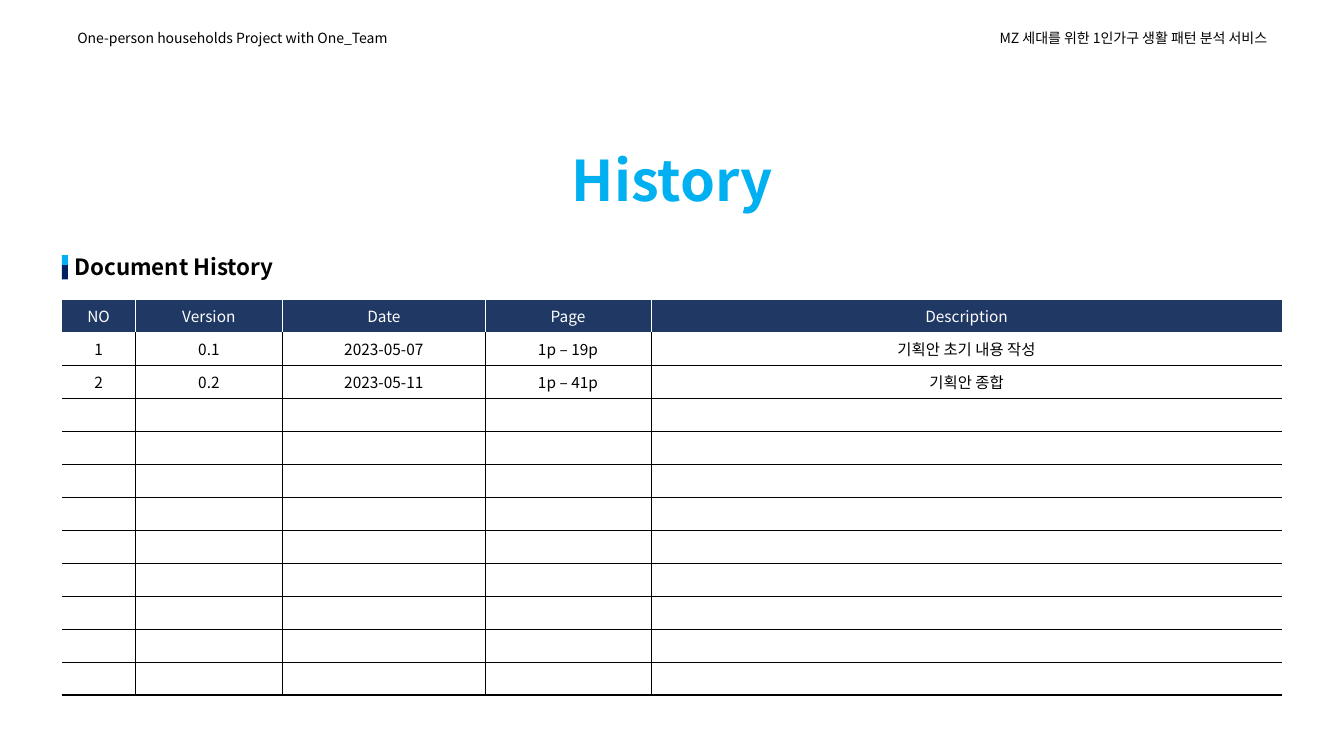
from lxml.etree import SubElement
from pptx import Presentation
from pptx.dml.color import RGBColor
from pptx.enum.shapes import MSO_SHAPE
from pptx.enum.text import MSO_ANCHOR, PP_ALIGN
from pptx.oxml.ns import qn
from pptx.util import Cm, Pt

HUES = {
    "black": "000000",
    "white": "FFFFFF",
    "sky": "00B0F0",
    "navy": "002060",
    "head": "203864",
}
FONT = "Noto Sans CJK KR"
COLS = [1.85, 3.71, 5.11, 4.17, 15.92]
ROWS = [
    ["NO", "Version", "Date", "Page", "Description"],
    ["1", "0.1", "2023-05-07", "1p – 19p", "기획안 초기 내용 작성"],
    ["2", "0.2", "2023-05-11", "1p – 41p", "기획안 종합"],
]
COUNT = 12


def hue(name):
    return RGBColor.from_string(HUES[name])


class Page:
    def __init__(self, deck):
        self.slide = deck.slides.add_slide(deck.slide_layouts[5])

    def style(self, para, size, color, bold=False, align=PP_ALIGN.LEFT):
        para.alignment = align
        font = para.font
        font.size, font.bold, font.name = Pt(size), bold, FONT
        font.color.rgb = hue(color)
        base = para._p.pPr.find(qn("a:defRPr"))
        SubElement(base, qn("a:ea"), typeface=FONT)

    def label(self, shape, box, text, size, color, bold=False, align=PP_ALIGN.LEFT):
        shape.left, shape.top, shape.width, shape.height = map(Cm, box)
        frame = shape.text_frame
        frame.text = text
        frame.word_wrap = True
        frame.vertical_anchor = MSO_ANCHOR.MIDDLE
        self.style(frame.paragraphs[0], size, color, bold, align)

    def title(self, box, *look):
        self.label(self.slide.shapes.title, box, *look)

    def text(self, box, *look):
        self.label(self.slide.shapes.add_textbox(*map(Cm, box)), box, *look)

    def bar(self, box, color):
        bar = self.slide.shapes.add_shape(MSO_SHAPE.RECTANGLE, *map(Cm, box))
        bar.shadow.inherit = False
        bar.fill.solid()
        bar.fill.fore_color.rgb = hue(color)
        bar.line.fill.background()

    def edge(self, cell, side, color, width=0.25):
        line = SubElement(cell._tc.get_or_add_tcPr(), qn(f"a:ln{side}"), w=str(Pt(width)))
        if color:
            fill = SubElement(line, qn("a:solidFill"))
            SubElement(fill, qn("a:srgbClr"), val=HUES[color])
        else:
            SubElement(line, qn("a:noFill"))

    def cell(self, cell, row, col, text):
        ink = "black" if row else "white"
        self.edge(cell, "L", ink if col else None)
        self.edge(cell, "R", ink if col < len(COLS) - 1 else None)
        self.edge(cell, "T", "black" if row > 1 else "white")
        self.edge(cell, "B", ink, 1.5 if row == COUNT - 1 else 0.25)
        cell.fill.solid()
        cell.fill.fore_color.rgb = hue("white" if row else "head")
        cell.vertical_anchor = MSO_ANCHOR.MIDDLE
        para = cell.text_frame.paragraphs[0]
        if text:
            para.text = text
        self.style(para, 11, ink, align=PP_ALIGN.CENTER)
        if not text:
            SubElement(para._p, qn("a:endParaRPr"), sz="1100")

    def table(self, left, top, high):
        frame = self.slide.shapes.add_table(
            COUNT, len(COLS), Cm(left), Cm(top), Cm(sum(COLS)), Cm(high * COUNT))
        grid = frame.table
        for col, wide in zip(grid.columns, COLS):
            col.width = Cm(wide)
        blank = [""] * len(COLS)
        for row in range(COUNT):
            grid.rows[row].height = Cm(high)
            words = ROWS[row] if row < len(ROWS) else blank
            for col, text in enumerate(words):
                self.cell(grid.cell(row, col), row, col, text)


def main():
    deck = Presentation()
    deck.slide_width, deck.slide_height = Cm(33.87), Cm(19.05)
    page = Page(deck)
    page.text((1.7, 0.61, 9.09, 0.69),
              "One-person households Project with One_Team", 10, "black")
    page.table(1.56, 7.55, 0.83)
    page.bar((1.56, 6.43, 0.15, 0.25), "sky")
    page.bar((1.56, 6.68, 0.15, 0.36), "navy")
    page.text((1.63, 6.25, 10.08, 0.94), "Document History", 16, "black", True)
    page.title((12.95, 3.53, 7.98, 1.96), "History", 40, "sky", True, PP_ALIGN.CENTER)
    page.text((23.09, 0.61, 9.09, 0.69),
              "MZ 세대를 위한 1인가구 생활 패턴 분석 서비스", 10, "black", False, PP_ALIGN.RIGHT)
    deck.save("out.pptx")


if __name__ == "__main__":
    main()
